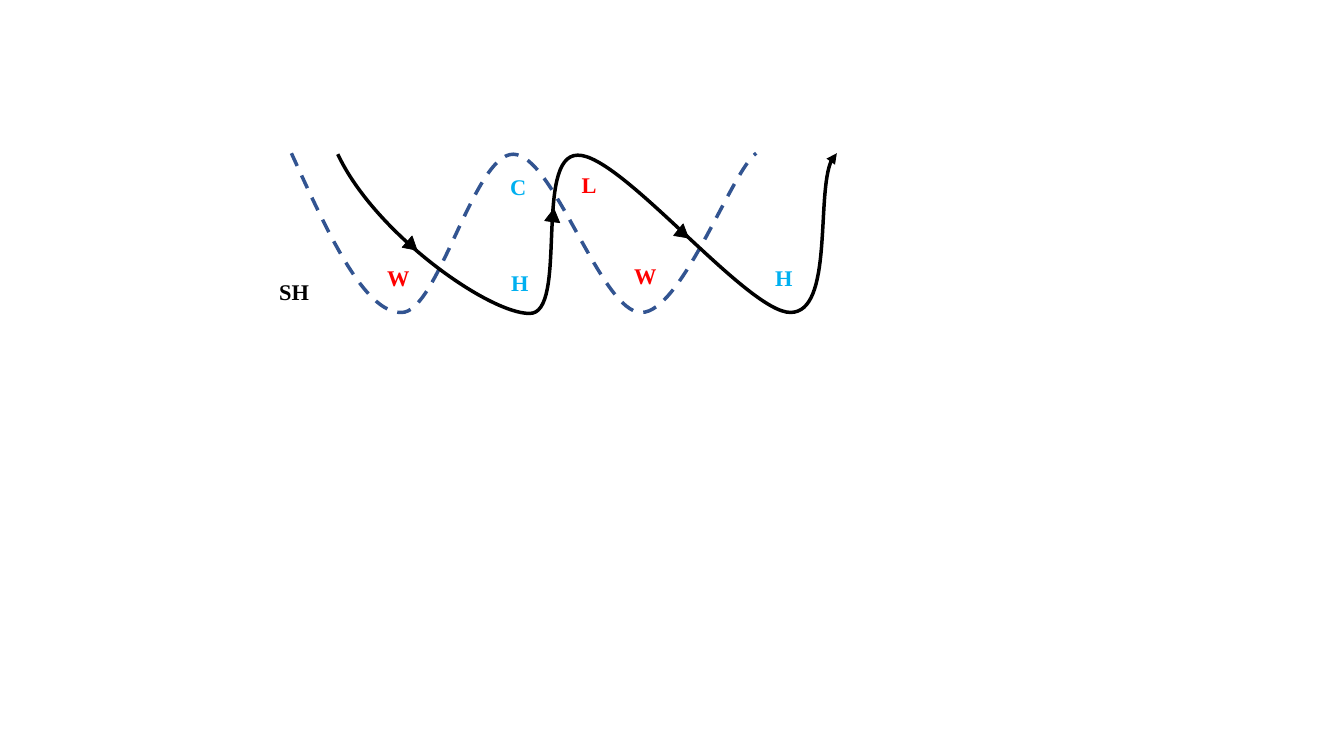
from pptx import Presentation
from pptx.dml.color import RGBColor as RGB
from pptx.enum.dml import MSO_LINE as DASH
from pptx.enum.shapes import MSO_SHAPE as SHAPE
from pptx.enum.text import MSO_AUTO_SIZE as AUTO
from pptx.oxml.ns import qn
from pptx.oxml.xmlchemy import OxmlElement as Element
from pptx.util import Pt

PX = 9144
COLORS = {"ink": "000000", "wave": "325491", "warm": "FF0000", "cold": "00B0F0"}
FONT = {"name": "Times New Roman", "size": Pt(16), "bold": True}
FRAME = {"word_wrap": True, "auto_size": AUTO.SHAPE_TO_FIT_TEXT}

TEMPERATURE = [(289, 152), (325, 231), (361, 310), (398, 310), (434, 311),
               (470, 153), (509, 153), (549, 153), (596, 310), (636, 310),
               (676, 310), (726, 169), (750, 152)]
PRESSURE = [(335, 153), (372, 232), (485, 311), (525, 311), (564, 312),
            (529, 154), (573, 154), (616, 153), (741, 310), (784, 310),
            (827, 310), (806, 169), (830, 152)]
LABELS = [("SH", 267, 271, 59, 37, "ink"), ("W", 374, 257, 31, 32, "warm"),
          ("C", 496, 167, 31, 32, "cold"), ("L", 567, 165, 31, 32, "warm"),
          ("H", 497, 262, 31, 32, "cold"), ("H", 759, 257, 31, 32, "cold"),
          ("W", 619, 255, 31, 32, "warm")]
MARKERS = [(400, 234, 11), (541, 207, 7.5), (669, 222, 9.3)]


def assign(obj, values):
    """Set each named attribute of an object."""
    for name, value in values.items():
        setattr(obj, name, value)


def color(name):
    """Return a named colour."""
    return RGB.from_string(COLORS[name])


def add_curve(shapes, points, line_color, dash=None, arrow=False):
    """Draw a smooth open line through Bezier points."""
    builder = shapes.build_freeform(*points[0], scale=PX)
    builder.add_line_segments(points[1:], close=False)
    s = builder.convert_to_shape()
    s.shadow.inherit = False
    s.fill.background()
    s.line.color.rgb = color(line_color)
    assign(s.line, {"width": Pt(2.5), "dash_style": dash})
    steps = list(s._element.iter(qn("a:lnTo")))
    for i in range(0, len(steps), 3):
        bezier = Element("a:cubicBezTo")
        steps[i].addprevious(bezier)
        for step in steps[i:i + 3]:
            bezier.append(step[0])
            step.getparent().remove(step)
    if arrow:
        tail = Element("a:tailEnd")
        tail.set("type", "triangle")
        s.line._get_or_add_ln().append(tail)


def add_label(shapes, text, x, y, w, h, text_color):
    """Place a bold label."""
    tf = shapes.add_textbox(x * PX, y * PX, w * PX, h * PX).text_frame
    assign(tf, FRAME)
    r = tf.paragraphs[0].add_run()
    r.text = text
    assign(r.font, FONT)
    r.font.color.rgb = color(text_color)


def add_marker(shapes, x, y, angle):
    """Place a small turned triangle on a curve."""
    s = shapes.add_shape(SHAPE.ISOSCELES_TRIANGLE, x * PX, y * PX, 15 * PX, 13 * PX)
    s.rotation = angle
    s.shadow.inherit = False
    s.fill.solid()
    s.fill.fore_color.rgb = s.line.color.rgb = color("ink")
    s.line.width = Pt(0.5)


def main():
    """Build and save the slide."""
    prs = Presentation()
    assign(prs, {"slide_width": 1333 * PX, "slide_height": 750 * PX})
    slide = prs.slides.add_slide(prs.slide_layouts[6])
    shapes = slide.shapes.add_group_shape().shapes
    add_curve(shapes, TEMPERATURE, "wave", dash=DASH.DASH)
    add_curve(shapes, PRESSURE, "ink", arrow=True)
    for label in LABELS:
        add_label(shapes, *label)
    for marker in MARKERS:
        add_marker(shapes, *marker)
    prs.save("out.pptx")


if __name__ == "__main__":
    main()
